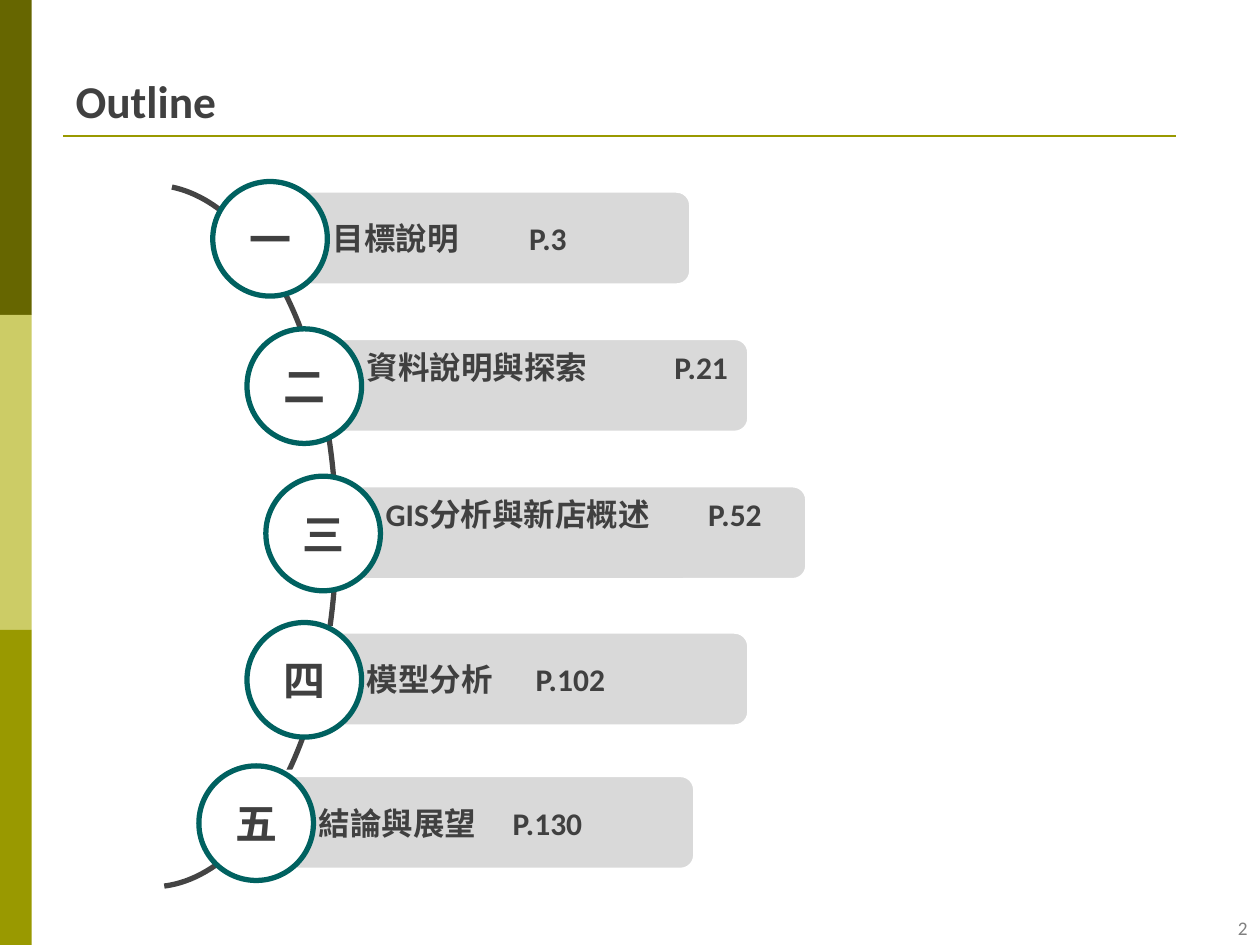
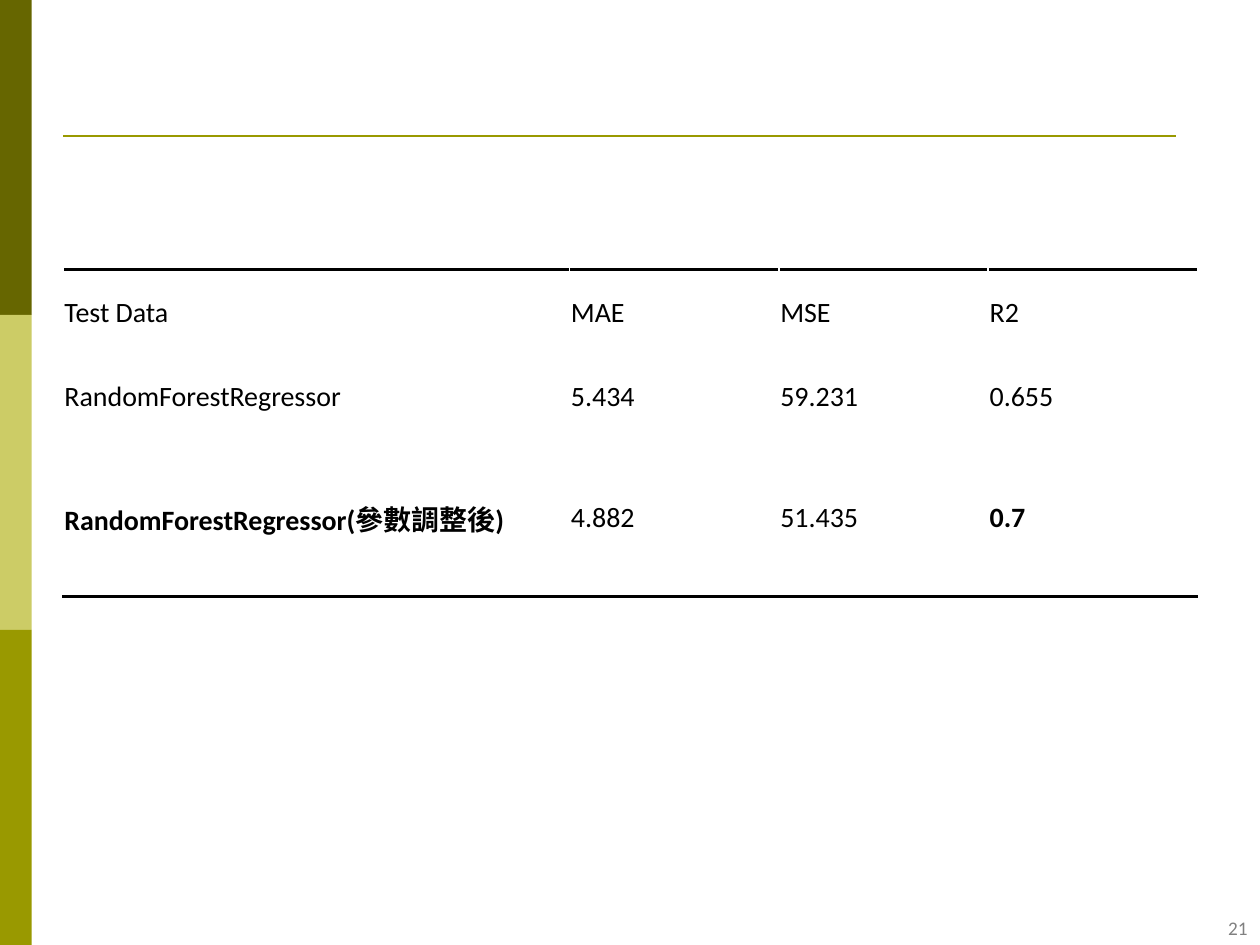
import pptx
import pptx.util
import pptx.oxml
import pptx.oxml.ns
import lxml.etree
from pptx.dml.color import RGBColor
from pptx.enum.shapes import MSO_CONNECTOR, MSO_SHAPE
from pptx.enum.text import MSO_ANCHOR, MSO_AUTO_SIZE, PP_ALIGN

Cm = pptx.util.Cm
Pt = pptx.util.Pt

OLIVE_DARK = RGBColor(0x66, 0x66, 0x00)
OLIVE_PALE = RGBColor(0xCC, 0xCC, 0x66)
OLIVE = RGBColor(0x99, 0x99, 0x00)
TEAL = RGBColor(0x00, 0x61, 0x60)
INK = RGBColor(0x40, 0x40, 0x40)
ARC_GRAY = RGBColor(0x44, 0x44, 0x44)
BAR_GRAY = RGBColor(0xD9, 0xD9, 0xD9)
NUMBER_GRAY = RGBColor(0x80, 0x80, 0x80)
BLACK = RGBColor(0, 0, 0)
WHITE = RGBColor(0xFF, 0xFF, 0xFF)

TITLE_ONLY, BLANK = 5, 6


def add_xml(parent, tag, **attributes):
    return lxml.etree.SubElement(parent, pptx.oxml.ns.qn(tag), attributes)


class Deck:
    """Holds the shared style and the slide being filled."""

    font_name = "Calibri"

    def __init__(self):
        self.deck = pptx.Presentation()
        self.deck.slide_width = Cm(25.4)
        self.deck.slide_height = Cm(19.05)
        self.page = None

    def new_page(self, number, title=None):
        layout = self.deck.slide_layouts[TITLE_ONLY if title else BLANK]
        self.page = self.deck.slides.add_slide(layout)
        # Side bands and rule under the title
        for index, color in enumerate((OLIVE_DARK, OLIVE_PALE, OLIVE)):
            self.shape(MSO_SHAPE.RECTANGLE, 0, 6.35 * index, 0.64, 6.35, fill=color)
        self.rule(1.27, 23.7, 2.74)
        if title:
            self.title(title)
        self.page_number(number)

    def shape(self, kind, left, top, width, height, fill=None, line=None, weight=1):
        shape = self.page.shapes.add_shape(kind, Cm(left), Cm(top), Cm(width), Cm(height))
        shape.shadow.inherit = False
        if fill is None:
            shape.fill.background()
        else:
            shape.fill.solid()
            shape.fill.fore_color.rgb = fill
        if line is None:
            shape.line.fill.background()
        else:
            shape.line.color.rgb = line
            shape.line.width = Pt(weight)
        return shape

    def rule(self, left, right, top):
        rule = self.page.shapes.add_connector(
            MSO_CONNECTOR.STRAIGHT, Cm(left), Cm(top), Cm(right), Cm(top))
        rule.line.color.rgb = OLIVE
        rule.line.width = Pt(1.5)
        add_xml(rule._element.spPr, "a:effectLst")

    def set_text(self, frame, text, size, color, bold=False, align=PP_ALIGN.LEFT,
                 anchor=MSO_ANCHOR.MIDDLE):
        frame.word_wrap = True
        frame.vertical_anchor = anchor
        para = frame.paragraphs[0]
        para.text = text
        para.alignment = align
        para.font.name = self.font_name
        para.font.size = Pt(size)
        para.font.bold = bold
        para.font.color.rgb = color
        return para

    def title(self, text):
        box = self.page.shapes.title
        box.left, box.top, box.width, box.height = Cm(1.27), Cm(1.02), Cm(22.86), Cm(1.68)
        box.text_frame.auto_size = MSO_AUTO_SIZE.NONE
        self.set_text(box.text_frame, text, 26, INK, bold=True, anchor=MSO_ANCHOR.BOTTOM)

    def page_number(self, number):
        box = self.page.shapes.add_textbox(Cm(23.7), Cm(18.34), Cm(1.7), Cm(0.71))
        self.set_text(box.text_frame, str(number), 11, NUMBER_GRAY, align=PP_ALIGN.RIGHT)

    def arc(self, left, top, width, height, start, end):
        arc = self.shape(MSO_SHAPE.ARC, left, top, width, height, line=ARC_GRAY, weight=3)
        arc.adjustments[0] = start
        arc.adjustments[1] = end

    def chapter(self, numeral, text, page_ref, left, top, bar_width, tab, raised):
        """A gray bar with a heading and page, and a numbered circle on its left end."""
        bar = self.shape(MSO_SHAPE.ROUNDED_RECTANGLE, left + 1.35, top + 0.15, bar_width, 1.98,
                         fill=BAR_GRAY, line=WHITE, weight=4.33)
        frame = bar.text_frame
        frame.margin_left, frame.margin_right = Cm(0.97), 0
        frame.margin_top = 0
        frame.margin_bottom = Cm(0.75) if raised else 0
        para = self.set_text(frame, f"{text}\t{page_ref}", 18, INK, bold=True)
        stops = pptx.oxml.parse_xml(f'<a:tabLst {pptx.oxml.ns.nsdecls("a")}/>')
        add_xml(stops, "a:tab", pos=str(Cm(tab)), algn="l")
        para._p.get_or_add_pPr().insert(0, stops)

        circle = self.shape(MSO_SHAPE.OVAL, left, top, 2.31, 2.31,
                            fill=WHITE, line=TEAL, weight=3)
        frame = circle.text_frame
        frame.margin_left = frame.margin_right = frame.margin_top = frame.margin_bottom = 0
        self.set_text(frame, numeral, 24, INK, bold=True, align=PP_ALIGN.CENTER)

    def table(self, left, top, widths, heights, rows, bold_cells):
        table = self.page.shapes.add_table(
            len(rows), len(widths), Cm(left), Cm(top),
            Cm(sum(widths)), Cm(sum(heights))).table
        table.first_row = table.horz_banding = False
        for column, width in zip(table.columns, widths):
            column.width = Cm(width)
        for row, height in zip(table.rows, heights):
            row.height = Cm(height)
        last = len(rows) - 1
        for row_index, values in enumerate(rows):
            for column_index, value in enumerate(values):
                cell = table.cell(row_index, column_index)
                cell.margin_left = cell.margin_right = cell.margin_top = Cm(0.03)
                cell.margin_bottom = 0
                self.set_text(cell.text_frame, value, 16, BLACK,
                              bold=(row_index, column_index) in bold_cells)
                cell.vertical_anchor = MSO_ANCHOR.MIDDLE
                if row_index == 0:
                    self.border(cell, "a:lnT")
                if row_index == last:
                    self.border(cell, "a:lnB")
                cell.fill.solid()
                cell.fill.fore_color.rgb = WHITE

    def border(self, cell, side):
        line = add_xml(cell._tc.get_or_add_tcPr(), side, w=str(Pt(2)))
        add_xml(add_xml(line, "a:solidFill"), "a:srgbClr", val=str(BLACK))


def main():
    show = Deck()

    # Outline: chapters strung along an arc
    show.new_page(2, "Outline")
    show.arc(-0.66, 3.73, 7.44, 14.15, 163.99, 52.77)
    chapters = [
        # numeral, heading, page, left, top, bar width, tab, raised text
        ("一", "目標說明", "P.3", 4.29, 3.66, 8.33, 3.96, False),
        ("二", "資料說明與探索", "P.21", 4.98, 6.63, 8.81, 6.2, True),
        ("三", "GIS分析與新店概述", "P.52", 5.36, 9.6, 9.6, 6.5, True),
        ("四", "模型分析", "P.102", 4.98, 12.55, 8.81, 3.4, False),
        ("五", "結論與展望", "P.130", 4.01, 15.44, 8.69, 3.91, False),
    ]
    for chapter in chapters:
        show.chapter(*chapter)

    # Model scores on the test data
    show.new_page(21)
    scores = [
        ("Test Data", "MAE", "MSE", "R2"),
        ("RandomForestRegressor", "5.434", "59.231", "0.655"),
        ("RandomForestRegressor(參數調整後)", "4.882", "51.435", "0.7"),
    ]
    show.table(1.27, 5.44, [10.21] + [4.22] * 3, [1.7, 1.7, 3.18], scores,
               bold_cells={(2, 0), (2, 3)})

    show.deck.save("out.pptx")


if __name__ == "__main__":
    main()
